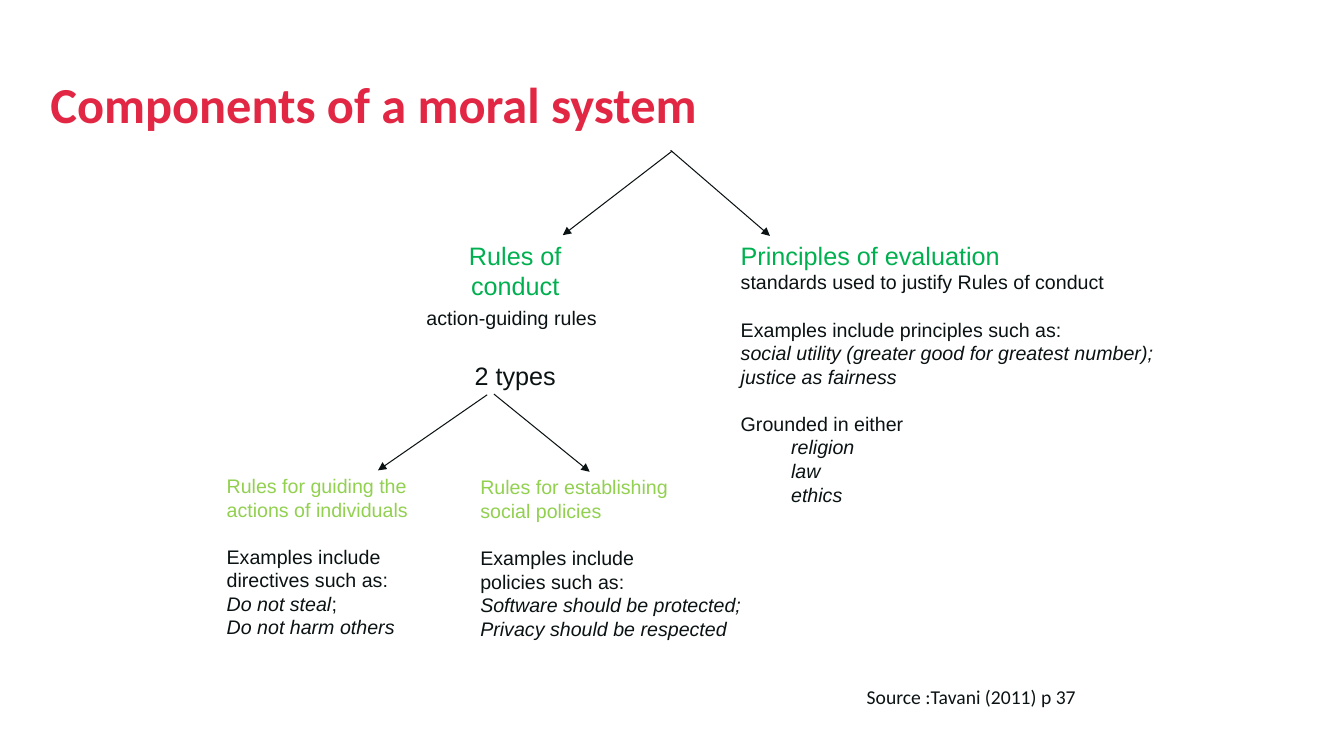
from pptx import Presentation
from pptx.dml.color import RGBColor as Rgb
from pptx.enum.shapes import MSO_CONNECTOR as Connector
from pptx.enum.text import MSO_ANCHOR as Anchor, MSO_AUTO_SIZE as AutoSize, PP_ALIGN as Align
from pptx.oxml.ns import qn
from pptx.util import Pt
from lxml.etree import SubElement

COLORS = {"title": "E12744", "branch": "00B050", "leaf": "92D050", "ink": "0B1213"}
LINE_14, LINE_18 = 16.9, 21  # gap of one text line, by font size


class MoralSlide:
    """Draws text blocks and arrows on one slide in a shared style."""

    def __init__(self, deck):
        self.slide = deck.slides.add_slide(deck.slide_layouts[6])

    def frame(self, left, top, width, height):
        box = self.slide.shapes.add_textbox(Pt(left), Pt(top), Pt(width), Pt(height))
        return box.text_frame

    def run(self, paragraph, text, size=14, color="ink", italic=False, font="Arial", bold=False):
        run = paragraph.add_run()
        run.text = text
        run.font.name = font
        run.font.size = Pt(size)
        run.font.bold = bold
        run.font.italic = italic
        run.font.color.rgb = Rgb.from_string(COLORS[color])

    def title(self, text, *place):
        frame = self.frame(*place)
        frame.word_wrap = True
        frame.vertical_anchor = Anchor.MIDDLE
        frame.margin_left = frame.margin_right = Pt(12)
        frame.margin_top = frame.margin_bottom = Pt(12)
        paragraph = frame.paragraphs[0]
        paragraph.line_spacing = 0.9
        self.run(paragraph, text, 36, "title", font="Calibri", bold=True)

    def block(self, place, lines, align=Align.LEFT):
        """Each line is (runs, gap before, level); each run is (text, style)."""
        frame = self.frame(*place)
        frame.word_wrap = False
        frame.auto_size = AutoSize.SHAPE_TO_FIT_TEXT
        for index, (runs, gap, level) in enumerate(lines):
            paragraph = frame.add_paragraph() if index else frame.paragraphs[0]
            paragraph.alignment = align
            paragraph.level = level
            paragraph.space_before = Pt(gap)
            for text, style in runs:
                self.run(paragraph, text, **style)

    def arrow(self, x1, y1, x2, y2):
        line = self.slide.shapes.add_connector(
            Connector.STRAIGHT, Pt(x1), Pt(y1), Pt(x2), Pt(y2))
        line.line.color.rgb = Rgb.from_string(COLORS["ink"])
        line.line.width = Pt(0.75)
        SubElement(line.line._get_or_add_ln(), qn("a:tailEnd"), type="triangle")
        SubElement(line._element.spPr, qn("a:effectLst"))


def line(text, gap=0, level=0, **style):
    return [(text, style)], gap, level


def main():
    deck = Presentation()
    deck.slide_width, deck.slide_height = Pt(960), Pt(540)
    page = MoralSlide(deck)

    page.title("Components of a moral system", 24, 24, 797, 104.4)

    # Arrows from the title and from the two types of rules
    for ends in [(480, 108, 402, 168), (479, 107.3, 550, 168.5),
                 (348, 282, 270, 336), (352.8, 281.5, 421.2, 337)]:
        page.arrow(*ends)

    # Rules of conduct
    page.block((294, 168, 148, 93.6), [
        line("Rules of conduct", size=18, color="branch"),
        ([("action-guiding rules", {}), (" ", {"size": 18})], 0, 0),
        line("2 types", LINE_18, size=18),
    ], Align.CENTER)

    # Principles of evaluation
    page.block((522, 168, 310.3, 198.7), [
        line("Principles of evaluation", size=18, color="branch"),
        line("standards used to justify Rules of conduct"),
        line("Examples include principles such as:", LINE_14),
        line("social utility (greater good for greatest number);", italic=True),
        line("justice as fairness", italic=True),
        line("Grounded in either", LINE_14),
        *[line(ground, level=1, italic=True) for ground in ("religion", "law", "ethics")],
    ])

    # Rules for individuals
    page.block((154.8, 335, 144.7, 126), [
        line("Rules for guiding the", color="leaf"),
        line("actions of individuals", color="leaf"),
        line("Examples include", LINE_14),
        line("directives such as:"),
        ([("Do not steal", {"italic": True}), (";", {})], 0, 0),
        line("Do not harm others", italic=True),
    ])

    # Rules for social policies
    page.block((336, 336, 201.6, 126), [
        line("Rules for establishing", color="leaf"),
        line("social policies", color="leaf"),
        line("Examples include", LINE_14),
        line("policies such as:"),
        line("Software should be protected;", italic=True),
        line("Privacy should be respected", italic=True),
    ])

    # Source
    page.block((612, 486, 165.6, 24.5), [line("Source :Tavani (2011) p 37", font="Calibri")])

    deck.save("out.pptx")


if __name__ == "__main__":
    main()
